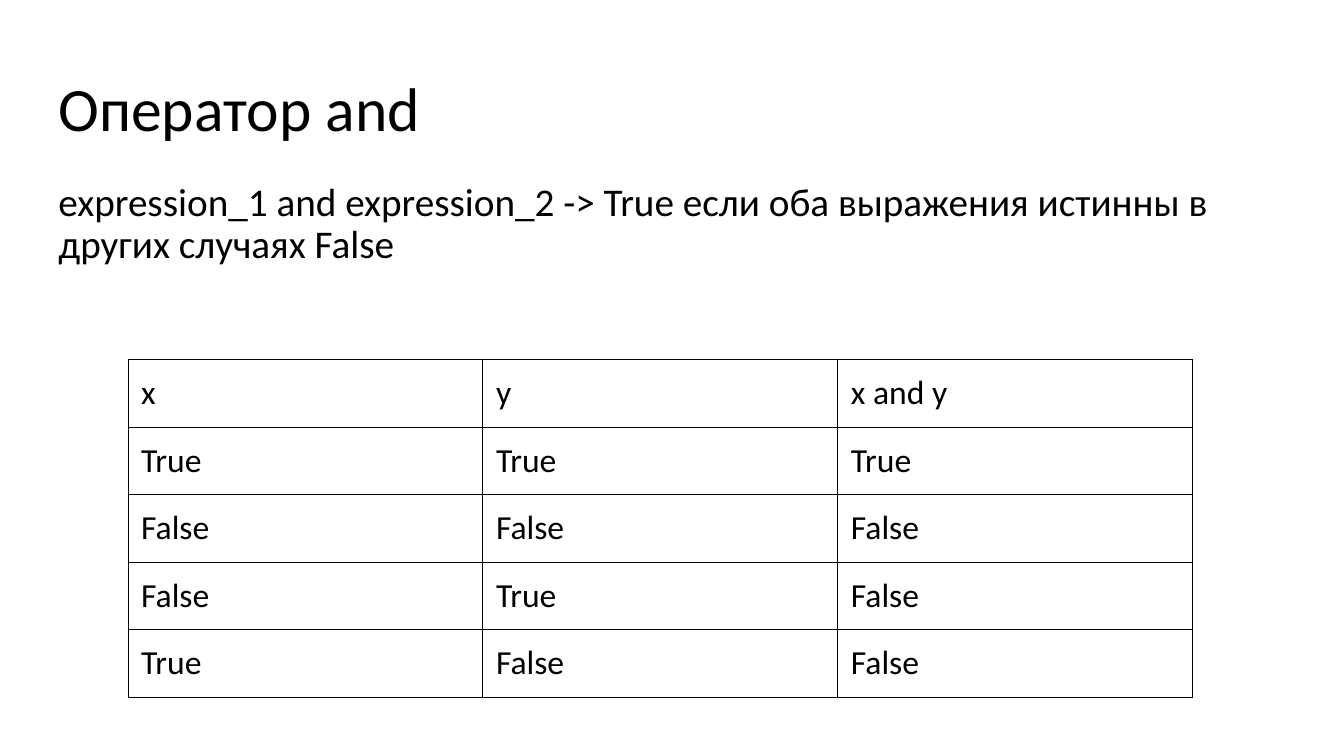
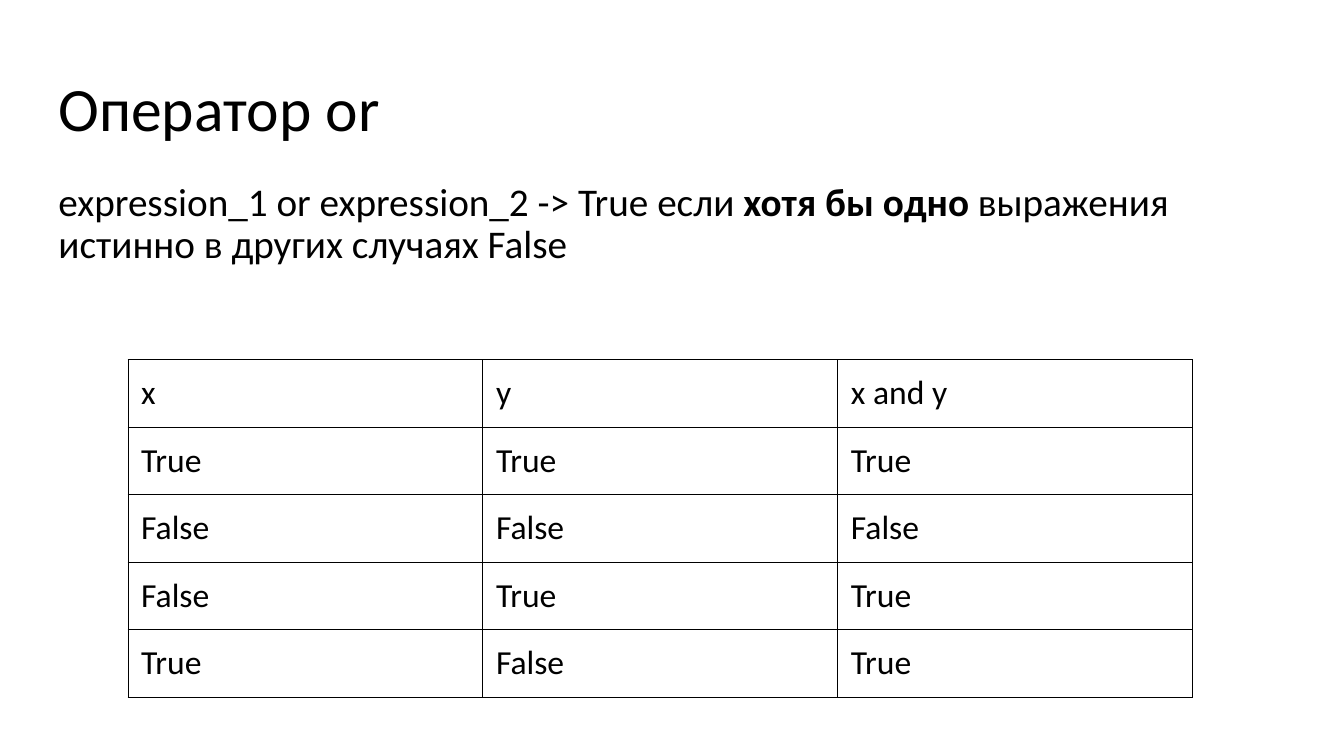
from dataclasses import dataclass

from lxml.etree import SubElement
from pptx import Presentation
from pptx.dml.color import RGBColor
from pptx.enum.text import MSO_ANCHOR, MSO_AUTO_SIZE, PP_ALIGN
from pptx.oxml.ns import qn
from pptx.util import Inches, Pt

# Content: text runs are (text, bold)
HEADER = ("x", "y", "x and y")
OPERANDS = (("True", "True"), ("False", "False"), ("False", "True"), ("True", "False"))
OPERATORS = [
    {
        "title": "Оператор and",
        "rule": [("expression_1 and expression_2 -> True если оба выражения "
                  "истинны в других случаях False", False)],
        "results": ("True", "False", "False", "False"),
    },
    {
        "title": "Оператор or",
        "rule": [("expression_1 or expression_2 -> True если ", False),
                 ("хотя бы одно", True),
                 (" выражения истинно в других случаях False", False)],
        "results": ("True", "False", "True", "True"),
    },
]


# Theme and layout
@dataclass(frozen=True)
class Theme:
    font: str = "Calibri"
    ink: str = "000000"
    title_size: int = 44
    rule_size: int = 28
    table_size: int = 24
    border: float = 0.75


THEME = Theme()
MARGIN = Inches(0.13)
TITLE_AREA = (0.45, 0.65, 12.42, 0.84)
RULE_AREA = (0.45, 1.68, 12.18, 0.95)
TABLE_LEFT, TABLE_TOP = 1.27, 3.57
COLUMN_WIDTH, ROW_HEIGHT = 3.52, 0.67


def apply_format(target, values):
    for name, value in values.items():
        setattr(target, name, value)


def write(para, runs, size):
    for text, bold in runs:
        span = para.add_run()
        span.text = text
        apply_format(span.font, {"name": THEME.font, "size": Pt(size), "bold": bold})
        span.font.color.rgb = RGBColor.from_string(THEME.ink)


def fill_placeholder(box, area, runs, size, space_after=0):
    apply_format(box, dict(zip(("left", "top", "width", "height"), map(Inches, area))))
    frame = box.text_frame
    apply_format(frame, {
        "margin_left": MARGIN, "margin_right": MARGIN,
        "margin_top": MARGIN, "margin_bottom": MARGIN,
        "vertical_anchor": MSO_ANCHOR.TOP,
        "auto_size": MSO_AUTO_SIZE.NONE, "word_wrap": True,
    })
    para = frame.paragraphs[0]
    apply_format(para, {
        "alignment": PP_ALIGN.LEFT, "line_spacing": 0.9,
        "space_before": Pt(0), "space_after": Pt(space_after),
    })
    # No bullet and no hanging indent
    properties = para._p.get_or_add_pPr()
    properties.set("marL", "0")
    properties.set("indent", "0")
    SubElement(properties, qn("a:buNone"))
    write(para, runs, size)


def draw_borders(cell):
    properties = cell._tc.get_or_add_tcPr()
    for side in ("lnL", "lnR", "lnT", "lnB"):
        line = SubElement(properties, qn(f"a:{side}"), w=str(Pt(THEME.border)))
        fill = SubElement(line, qn("a:solidFill"))
        SubElement(fill, qn("a:srgbClr"), val=THEME.ink)


def add_truth_table(page, rows):
    row_count, column_count = len(rows), len(rows[0])
    table = page.shapes.add_table(
        row_count, column_count, Inches(TABLE_LEFT), Inches(TABLE_TOP),
        Inches(COLUMN_WIDTH * column_count), Inches(ROW_HEIGHT * row_count)).table
    apply_format(table, {"first_row": False, "horz_banding": False})
    for row_index, row in enumerate(rows):
        for column_index, text in enumerate(row):
            cell = table.cell(row_index, column_index)
            apply_format(cell, {
                "margin_left": MARGIN, "margin_right": MARGIN,
                "margin_top": MARGIN, "margin_bottom": MARGIN,
            })
            draw_borders(cell)
            cell.fill.background()
            write(cell.text_frame.paragraphs[0], [(text, False)], THEME.table_size)


# Build the slides
deck = Presentation()
deck.slide_width, deck.slide_height = Inches(13.33), Inches(7.5)
title_and_content = deck.slide_layouts[1]

for operator in OPERATORS:
    page = deck.slides.add_slide(title_and_content)
    fill_placeholder(page.shapes.title, TITLE_AREA,
                     [(operator["title"], False)], THEME.title_size)
    fill_placeholder(page.placeholders[1], RULE_AREA,
                     operator["rule"], THEME.rule_size, space_after=21.3)
    rows = [HEADER] + [(*pair, result)
                       for pair, result in zip(OPERANDS, operator["results"])]
    add_truth_table(page, rows)

deck.save("out.pptx")
